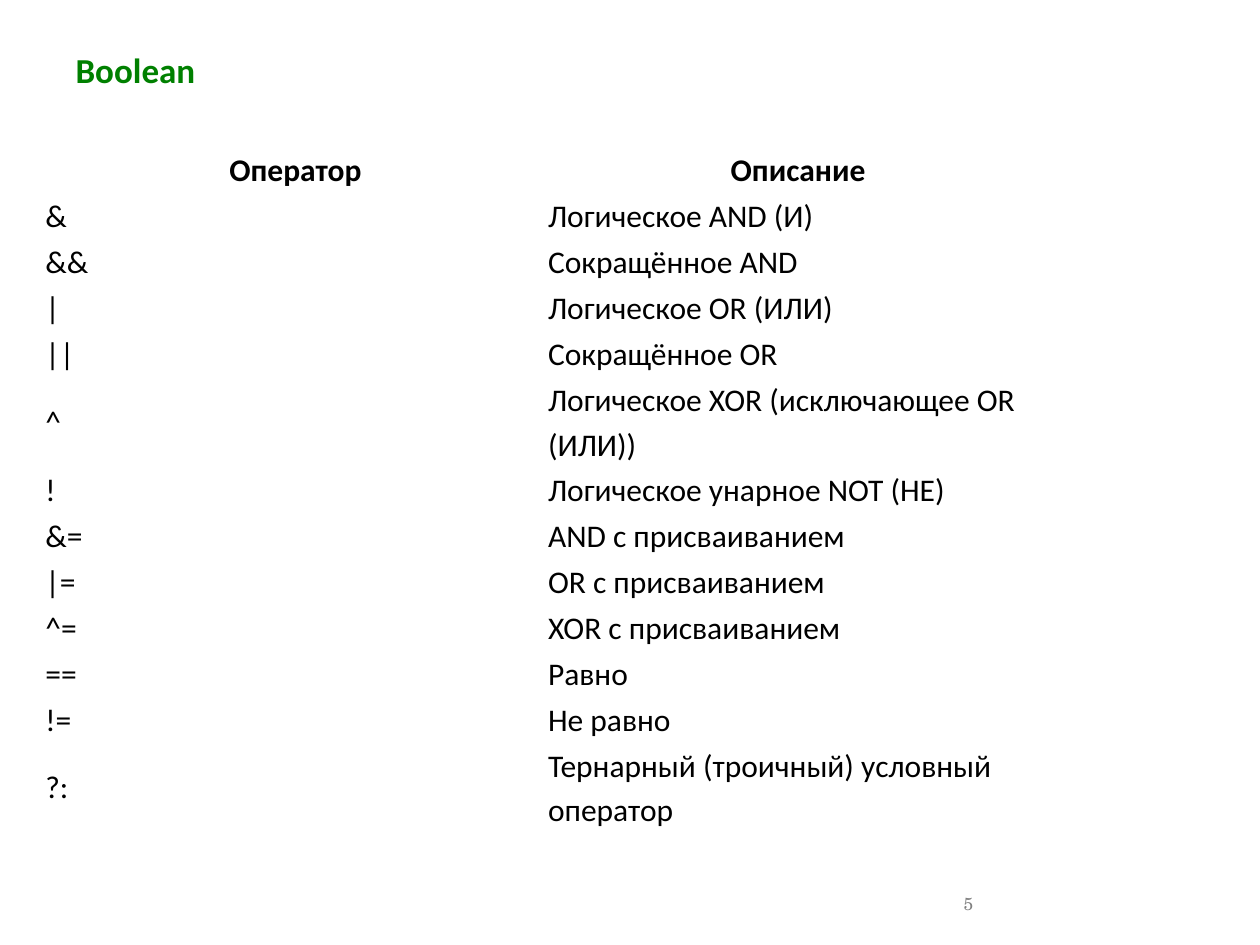
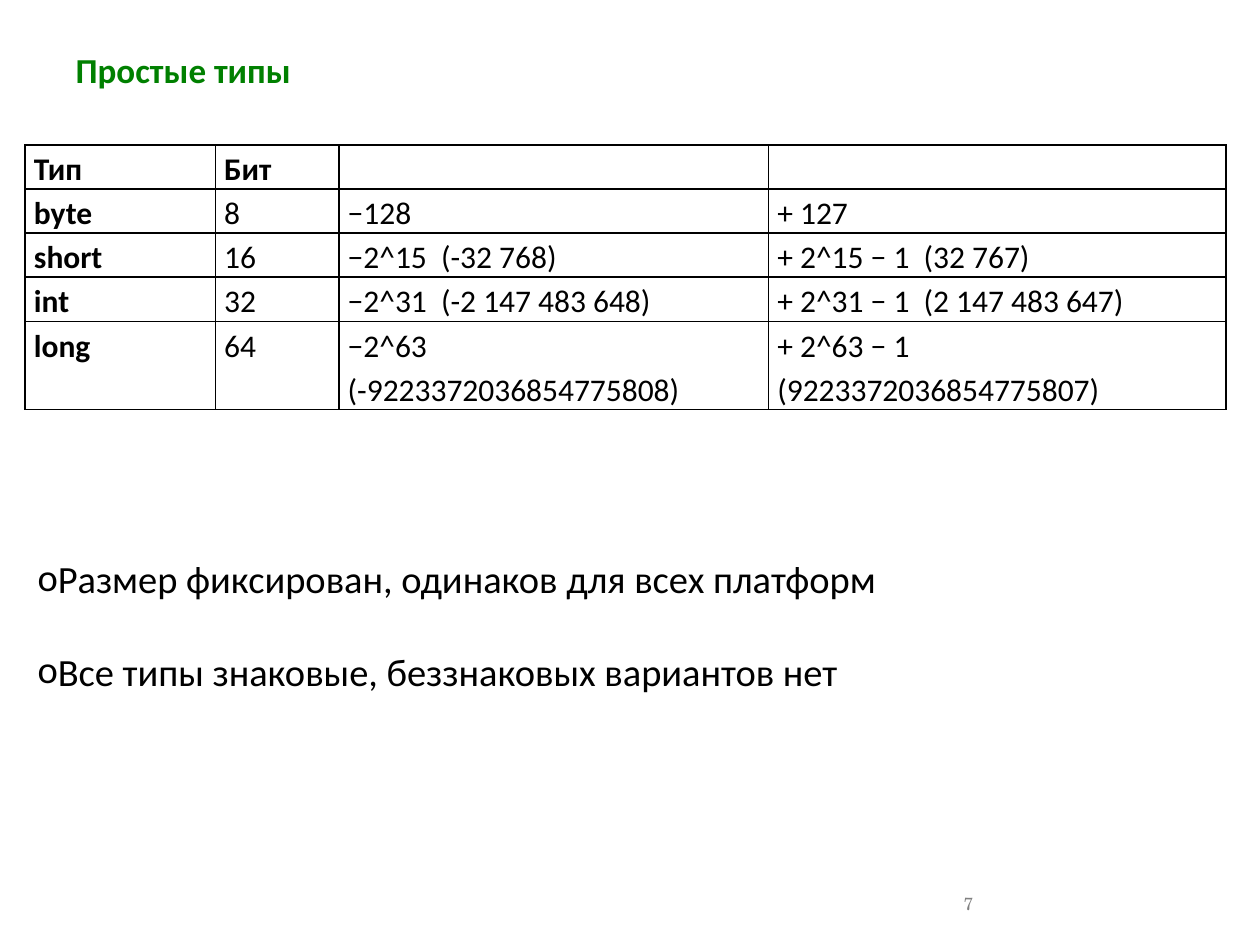
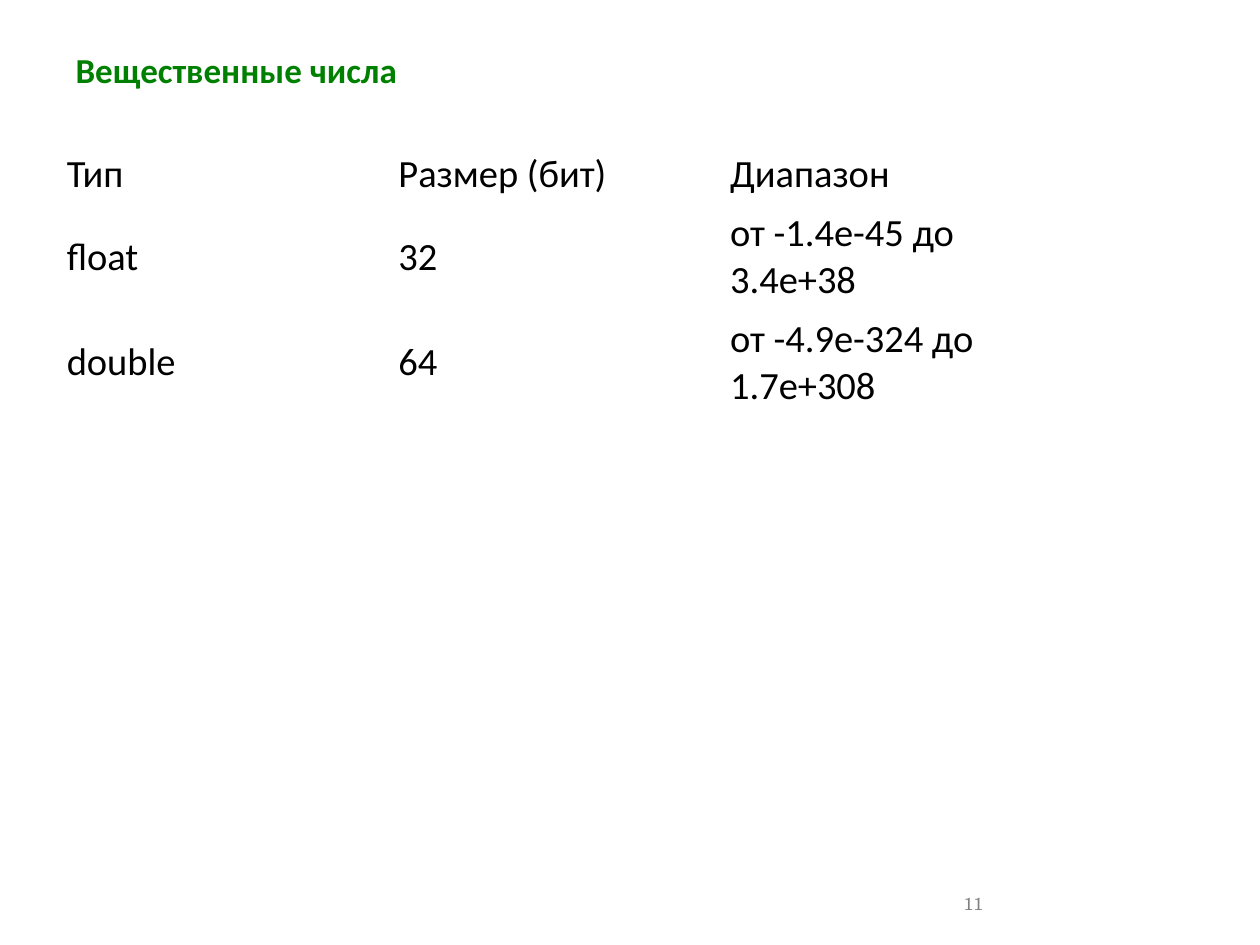
from dataclasses import dataclass, field
from typing import Any, Optional

from lxml.etree import SubElement
from pptx import Presentation
from pptx.dml.color import RGBColor
from pptx.enum.text import MSO_ANCHOR as Anchor, PP_ALIGN as Align
from pptx.oxml.ns import qn
from pptx.util import Emu, Inches, Pt

GRID_COLS, GRID_ROWS = 100, 75
BLACK, WHITE, GREEN, GRAY = "000000", "FFFFFF", "008000", "808080"
BODY_FONT, NUMBER_FONT = "Calibri", "TeX Gyre Schola"
PLAIN_TABLE_STYLE = "{2D5ABB26-0587-4C30-8999-92F81FD0307C}"
SIDES = ("left", "top", "right", "bottom")

prs = Presentation()
prs.slide_width, prs.slide_height = Inches(10), Inches(7.5)


@dataclass(frozen=True)
class Box:
    """A place on the slide, in grid columns and rows."""
    left: float
    top: float
    width: float
    height: float

    def emu(self) -> dict[str, Emu]:
        """Return the place as shape attributes."""
        return {"left": across(self.left), "top": down(self.top),
                "width": across(self.width), "height": down(self.height)}


@dataclass(frozen=True)
class TextStyle:
    """Font and paragraph settings of a text."""
    size: float
    color: str = BLACK
    name: str = BODY_FONT
    bold: bool = False
    spacing: float = 1.0
    bullet: str = ""


@dataclass(frozen=True)
class TableSpec:
    """A table with its grid, cell settings and rows of text."""
    left: float
    widths: list[float]
    heights: list[float]
    rows: list[list[str]]
    style: TextStyle
    insets: tuple[float, ...] = (0.1, 0.05, 0.1, 0.05)
    anchor: Any = Anchor.MIDDLE
    head_align: Any = Align.LEFT
    bold_head: bool = False
    bold_first_col: bool = False
    fill: Optional[str] = None
    border: Optional[str] = None


@dataclass(frozen=True)
class Page:
    """One slide: title, page number, table and optional notes list."""
    title: str
    number: int
    table: TableSpec
    points: list[str] = field(default_factory=list)


TITLE_BOX = Box(5, 3.8, 81.2, 3.8)
NUMBER_BOX = Box(75.5, 69.7, 23.3, 4)
POINTS_BOX = Box(2, 39.9, 95.3, 14.8)
TABLE_TOP = 11.5

TITLE = TextStyle(20, GREEN, bold=True, spacing=0.9)
NUMBER = TextStyle(10, GRAY, NUMBER_FONT)
POINTS = TextStyle(22, spacing=2.0, bullet="o")
CELL = TextStyle(18, spacing=1.15)
LARGE_CELL = TextStyle(22)

OPERATORS = [
    ["Оператор", "Описание"],
    ["&", "Логическое AND (И)"],
    ["&&", "Сокращённое AND"],
    ["|", "Логическое OR (ИЛИ)"],
    ["||", "Сокращённое OR"],
    ["^", "Логическое XOR (исключающее OR (ИЛИ))"],
    ["!", "Логическое унарное NOT (НЕ)"],
    ["&=", "AND с присваиванием"],
    ["|=", "OR с присваиванием"],
    ["^=", "XOR с присваиванием"],
    ["==", "Равно"],
    ["!=", "Не равно"],
    ["?:", "Тернарный (троичный) условный оператор"],
]
INTEGERS = [
    ["Тип", "Бит", "", ""],
    ["byte", "8", "−128", "+ 127"],
    ["short", "16", "−2^15  (-32 768)", "+ 2^15 − 1  (32 767)"],
    ["int", "32", "−2^31  (-2 147 483 648)", "+ 2^31 − 1  (2 147 483 647)"],
    ["long", "64", "−2^63\n(-9223372036854775808)",
     "+ 2^63 − 1\n(9223372036854775807)"],
]
REALS = [
    ["Тип", "Размер (бит)", "Диапазон"],
    ["float", "32", "от -1.4e-45 до 3.4e+38"],
    ["double", "64", "от -4.9e-324 до 1.7е+308"],
]

PAGES = [
    Page("Boolean", 5, TableSpec(
        3.5, [39.9] * 2, [3.3] * len(OPERATORS), OPERATORS, CELL,
        insets=(0.01,) * 4, head_align=Align.CENTER, bold_head=True)),
    Page("Простые типы", 7, TableSpec(
        2, [15.1, 9.8, 34.1, 36.3], [3.5] * 4 + [7], INTEGERS, CELL,
        insets=(0.07, 0, 0.07, 0), anchor=Anchor.TOP, bold_head=True,
        bold_first_col=True, fill=WHITE, border=BLACK),
        ["Размер фиксирован, одинаков для всех платформ",
         "Все типы знаковые, беззнаковых вариантов нет"]),
    Page("Вещественные числа", 11, TableSpec(
        4.3, [26.33] * 3, [4.7, 8.4, 8.4], REALS, LARGE_CELL)),
]


def across(cols: float) -> Emu:
    """Convert grid columns to a length."""
    return Emu(round(prs.slide_width * cols / GRID_COLS))


def down(rows: float) -> Emu:
    """Convert grid rows to a length."""
    return Emu(round(prs.slide_height * rows / GRID_ROWS))


def rgb(color: str) -> RGBColor:
    """Convert a hex string to a colour."""
    return RGBColor.from_string(color)


def assign(target: Any, values: dict[str, Any]) -> None:
    """Set each named attribute of the target."""
    for name, value in values.items():
        setattr(target, name, value)


def write(tf: Any, text: str, style: TextStyle, bold: bool = False,
          align: Any = Align.LEFT) -> None:
    """Fill a text frame with one paragraph per line of text."""
    tf.text = text
    for p in tf.paragraphs:
        assign(p, {"alignment": align, "line_spacing": style.spacing,
                   "space_before": Pt(0), "space_after": Pt(0)})
        if style.bullet:
            pPr = p._p.get_or_add_pPr()
            SubElement(pPr, qn("a:buFont")).set("typeface", style.name)
            SubElement(pPr, qn("a:buChar")).set("char", style.bullet)
        for r in p.runs:
            assign(r.font, {"name": style.name, "size": Pt(style.size),
                            "bold": style.bold or bold})
            r.font.color.rgb = rgb(style.color)


def add_text(slide: Any, box: Box, text: str, style: TextStyle,
             anchor: Any = Anchor.TOP) -> None:
    """Add a wrapped text box."""
    tf = slide.shapes.add_textbox(**box.emu()).text_frame
    assign(tf, {"word_wrap": True, "vertical_anchor": anchor})
    write(tf, text, style)


def add_title(slide: Any, text: str) -> None:
    """Place and format the title placeholder."""
    sp = slide.shapes.title
    assign(sp, TITLE_BOX.emu())
    write(sp.text_frame, text, TITLE)
    assign(sp.text_frame, {"vertical_anchor": Anchor.MIDDLE, "word_wrap": True})


def draw_borders(cell: Any, color: str) -> None:
    """Draw a one-point line on each side of a cell."""
    tcPr = cell._tc.get_or_add_tcPr()
    for i, side in enumerate(("a:lnL", "a:lnR", "a:lnT", "a:lnB")):
        ln = tcPr.makeelement(qn(side), {"w": str(Pt(1))})
        fill = SubElement(ln, qn("a:solidFill"))
        SubElement(fill, qn("a:srgbClr")).set("val", color)
        tcPr.insert(i, ln)


def format_cell(cell: Any, spec: TableSpec) -> None:
    """Set the insets, anchor, fill and borders of a cell."""
    assign(cell, {f"margin_{side}": Inches(inset)
                  for side, inset in zip(SIDES, spec.insets)})
    cell.vertical_anchor = spec.anchor
    if spec.fill:
        cell.fill.solid()
        cell.fill.fore_color.rgb = rgb(spec.fill)
    else:
        cell.fill.background()
    if spec.border:
        draw_borders(cell, spec.border)


def add_table(slide: Any, spec: TableSpec) -> None:
    """Add a table and fill its cells."""
    box = Box(spec.left, TABLE_TOP, sum(spec.widths), sum(spec.heights))
    table = slide.shapes.add_table(
        len(spec.rows), len(spec.widths), **box.emu()).table
    assign(table, {"first_row": False, "horz_banding": False})
    table._tbl.tblPr.find(qn("a:tableStyleId")).text = PLAIN_TABLE_STYLE
    for col, width in zip(table.columns, spec.widths):
        col.width = across(width)
    for row, height in zip(table.rows, spec.heights):
        row.height = down(height)
    for i, texts in enumerate(spec.rows):
        for j, text in enumerate(texts):
            cell = table.cell(i, j)
            bold = (spec.bold_head and i == 0) or (spec.bold_first_col and j == 0)
            align = spec.head_align if i == 0 else Align.LEFT
            write(cell.text_frame, text, spec.style, bold, align)
            format_cell(cell, spec)


def add_page(page: Page) -> None:
    """Add one slide with its title, number, table and list."""
    slide = prs.slides.add_slide(prs.slide_layouts.get_by_name("Title Only"))
    add_title(slide, page.title)
    add_text(slide, NUMBER_BOX, str(page.number), NUMBER, Anchor.MIDDLE)
    add_table(slide, page.table)
    if page.points:
        add_text(slide, POINTS_BOX, "\n".join(page.points), POINTS)


def main() -> None:
    """Build every slide and save the presentation."""
    for page in PAGES:
        add_page(page)
    prs.save("out.pptx")


if __name__ == "__main__":
    main()
